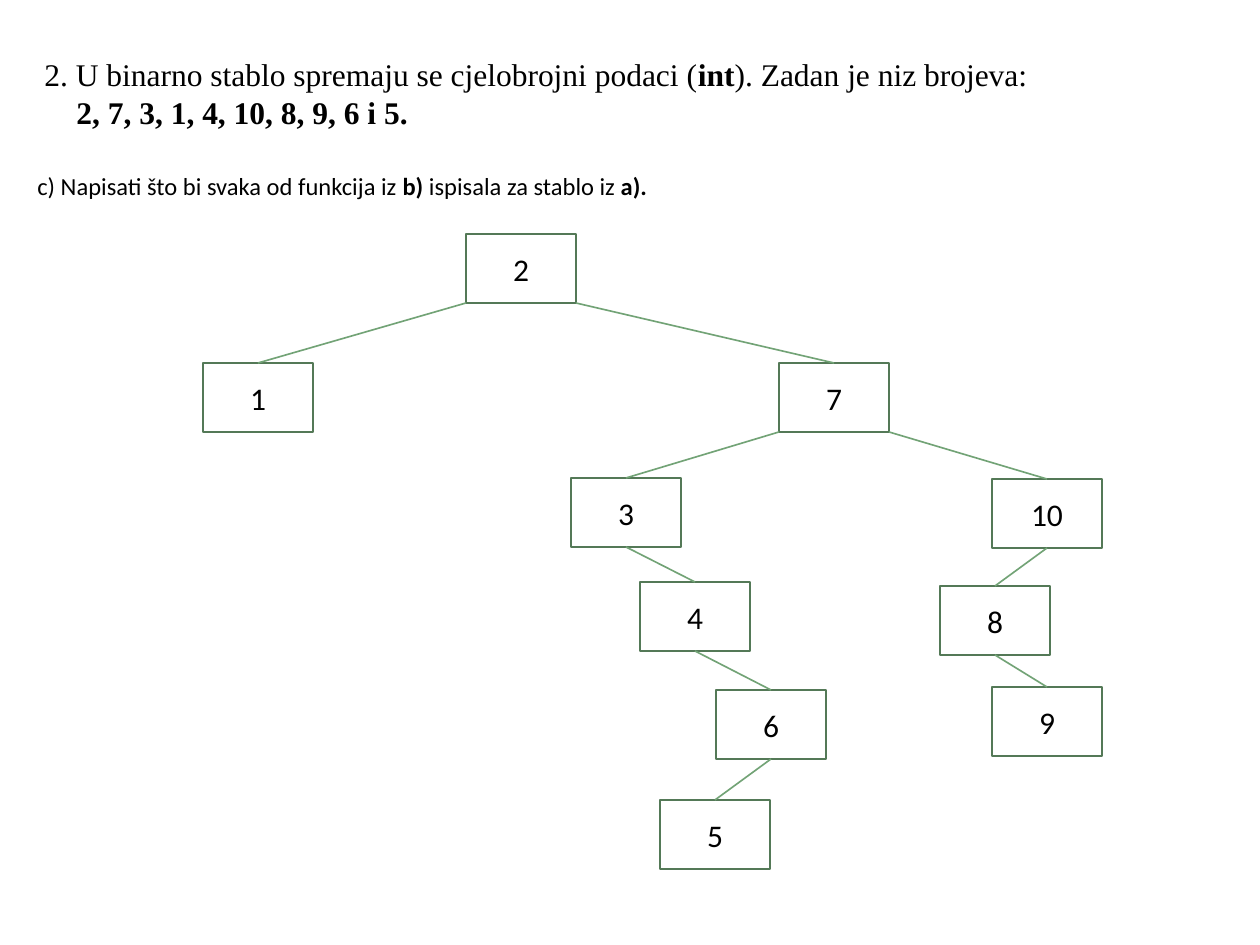
import dataclasses
import typing

import pptx
import pptx.dml.color
import pptx.enum.shapes
import pptx.enum.text
import pptx.oxml
import pptx.util

PX = 914400 / 126  # EMU in one px
NODE_WIDTH, NODE_HEIGHT = 110, 69
COLORS = {"text": "000000", "node": "FFFFFF", "border": "547957", "edge": "72A376"}
CALIBRI, TIMES = "Calibri", "Times New Roman"


@dataclasses.dataclass(frozen=True)
class Node:
    value: int
    left: int
    top: int
    children: tuple[int, ...] = ()


@dataclasses.dataclass(frozen=True)
class Line:
    runs: tuple[tuple[str, bool], ...]  # text, bold
    font: dict[str, typing.Any]
    indent: int = 0
    space_before: int = 0


HEADING_FONT = {"name": TIMES, "size": pptx.util.Pt(18)}
NODE_FONT = {"name": CALIBRI, "size": pptx.util.Pt(18)}
QUESTION_FONT = {"name": CALIBRI, "size": pptx.util.Pt(14)}

LINES = (
    Line((("2. U binarno stablo spremaju se cjelobrojni podaci (", False),
          ("int", True), ("). Zadan je niz brojeva:", False)), HEADING_FONT, 7),
    Line((("2, 7, 3, 1, 4, 10, 8, 9, 6 i 5.", True),), HEADING_FONT, 39),
    Line((("c) Napisati što bi svaka od funkcija iz ", False), ("b) ", True),
          ("ispisala za stablo iz ", False), ("a).", True)), QUESTION_FONT, 0, 23),
)

NODES = (
    Node(2, 466, 234, (1, 7)),
    Node(1, 203, 363),
    Node(7, 779, 363, (3, 10)),
    Node(3, 571, 478, (4,)),
    Node(10, 992, 479, (8,)),
    Node(4, 640, 582, (6,)),
    Node(8, 940, 586, (9,)),
    Node(6, 716, 690, (5,)),
    Node(9, 992, 687),
    Node(5, 660, 800),
)


def px(*lengths: int) -> list[int]:
    return [round(length * PX) for length in lengths]


def rgb(name: str) -> pptx.dml.color.RGBColor:
    return pptx.dml.color.RGBColor.from_string(COLORS[name])


def apply(target: typing.Any, values: dict[str, typing.Any]) -> None:
    for name, value in values.items():
        setattr(target, name, value)


def add_run(paragraph: typing.Any, text: str, font: dict[str, typing.Any]) -> None:
    run = paragraph.add_run()
    run.text = text
    apply(run.font, font)
    run.font.color.rgb = rgb("text")


def add_task(slide: typing.Any) -> None:
    frame = slide.shapes.add_textbox(*px(25, 47, 1181, 157)).text_frame
    apply(frame, {"word_wrap": True, "margin_top": px(8)[0],
                  "auto_size": pptx.enum.text.MSO_AUTO_SIZE.SHAPE_TO_FIT_TEXT})
    for index, line in enumerate(LINES):
        paragraph = frame.add_paragraph() if index else frame.paragraphs[0]
        if line.indent:
            paragraph._p.get_or_add_pPr().set("marL", str(px(line.indent)[0]))
        if line.space_before:
            paragraph.space_before = pptx.util.Pt(line.space_before)
        for text, bold in line.runs:
            add_run(paragraph, text, {**line.font, "bold": bold})


def add_node(slide: typing.Any, node: Node) -> None:
    shape = slide.shapes.add_shape(
        pptx.enum.shapes.MSO_SHAPE.RECTANGLE,
        *px(node.left, node.top, NODE_WIDTH, NODE_HEIGHT))
    shape.shadow.inherit = False
    shape.fill.solid()
    shape.fill.fore_color.rgb = rgb("node")
    shape.line.color.rgb = rgb("border")
    shape.line.width = pptx.util.Pt(1.5)
    shape.text_frame.vertical_anchor = pptx.enum.text.MSO_ANCHOR.MIDDLE
    paragraph = shape.text_frame.paragraphs[0]
    paragraph.alignment = pptx.enum.text.PP_ALIGN.CENTER
    add_run(paragraph, str(node.value), NODE_FONT)


def add_edge(slide: typing.Any, start_x: int, parent: Node, child: Node) -> None:
    connector = slide.shapes.add_connector(
        pptx.enum.shapes.MSO_CONNECTOR.STRAIGHT,
        *px(start_x, parent.top + NODE_HEIGHT, child.left + NODE_WIDTH // 2, child.top))
    connector.line.color.rgb = rgb("edge")
    connector.line.width = pptx.util.Pt(0.94)
    connector._element.spPr.append(pptx.oxml.parse_xml(
        '<a:effectLst xmlns:a="http://schemas.openxmlformats.org/drawingml/2006/main"/>'))


def main() -> None:
    presentation = pptx.Presentation()
    apply(presentation, {"slide_width": pptx.util.Inches(10),
                         "slide_height": pptx.util.Inches(7.5)})
    slide = presentation.slides.add_slide(presentation.slide_layouts[6])

    # Task text
    add_task(slide)

    # Tree nodes
    for node in NODES:
        add_node(slide, node)

    # Edges: two children hang from the corners, one from the middle
    by_value = {node.value: node for node in NODES}
    for node in NODES:
        offsets = (0, NODE_WIDTH) if len(node.children) == 2 else (NODE_WIDTH // 2,)
        for offset, value in zip(offsets, node.children):
            add_edge(slide, node.left + offset, node, by_value[value])

    presentation.save("out.pptx")


if __name__ == "__main__":
    main()
